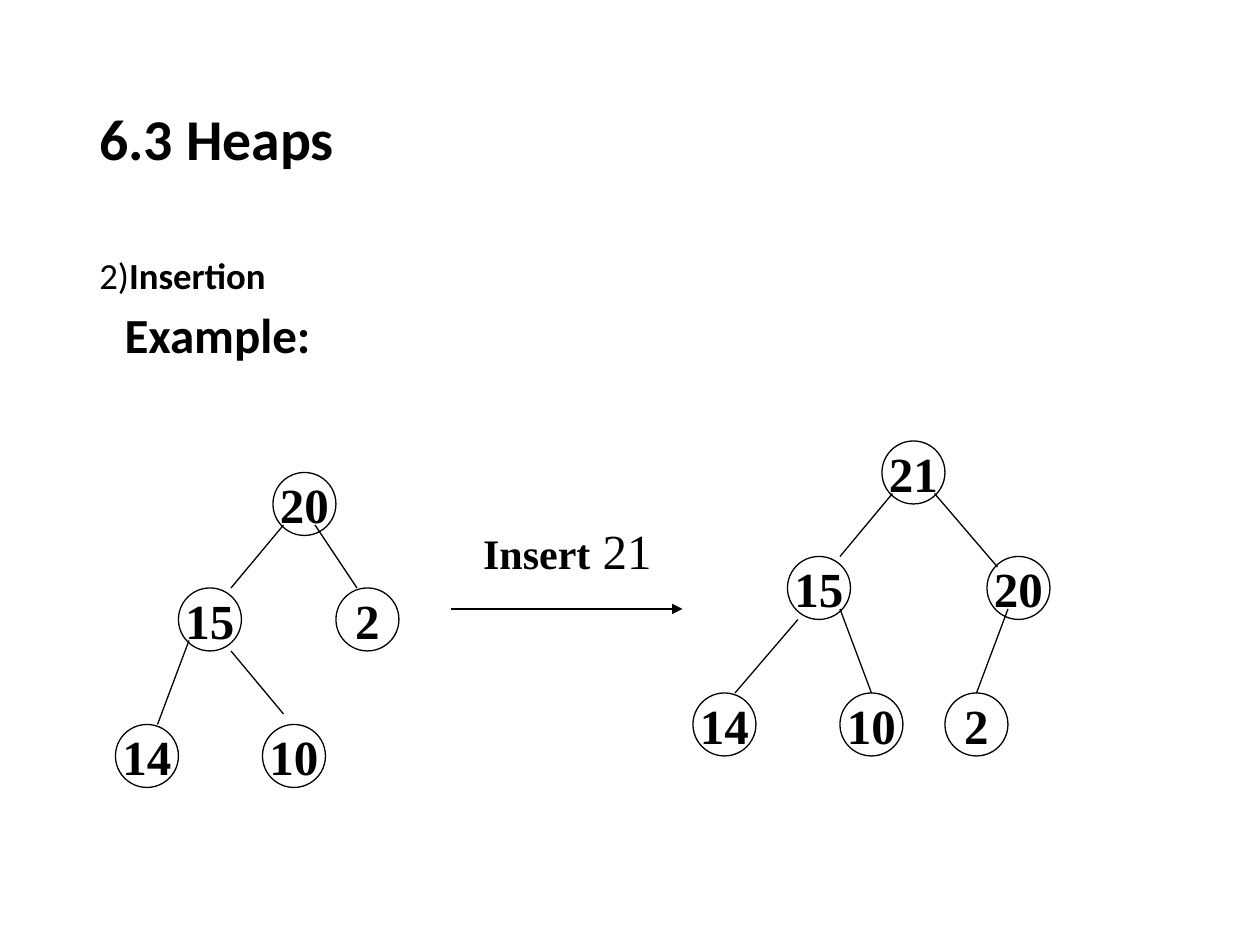
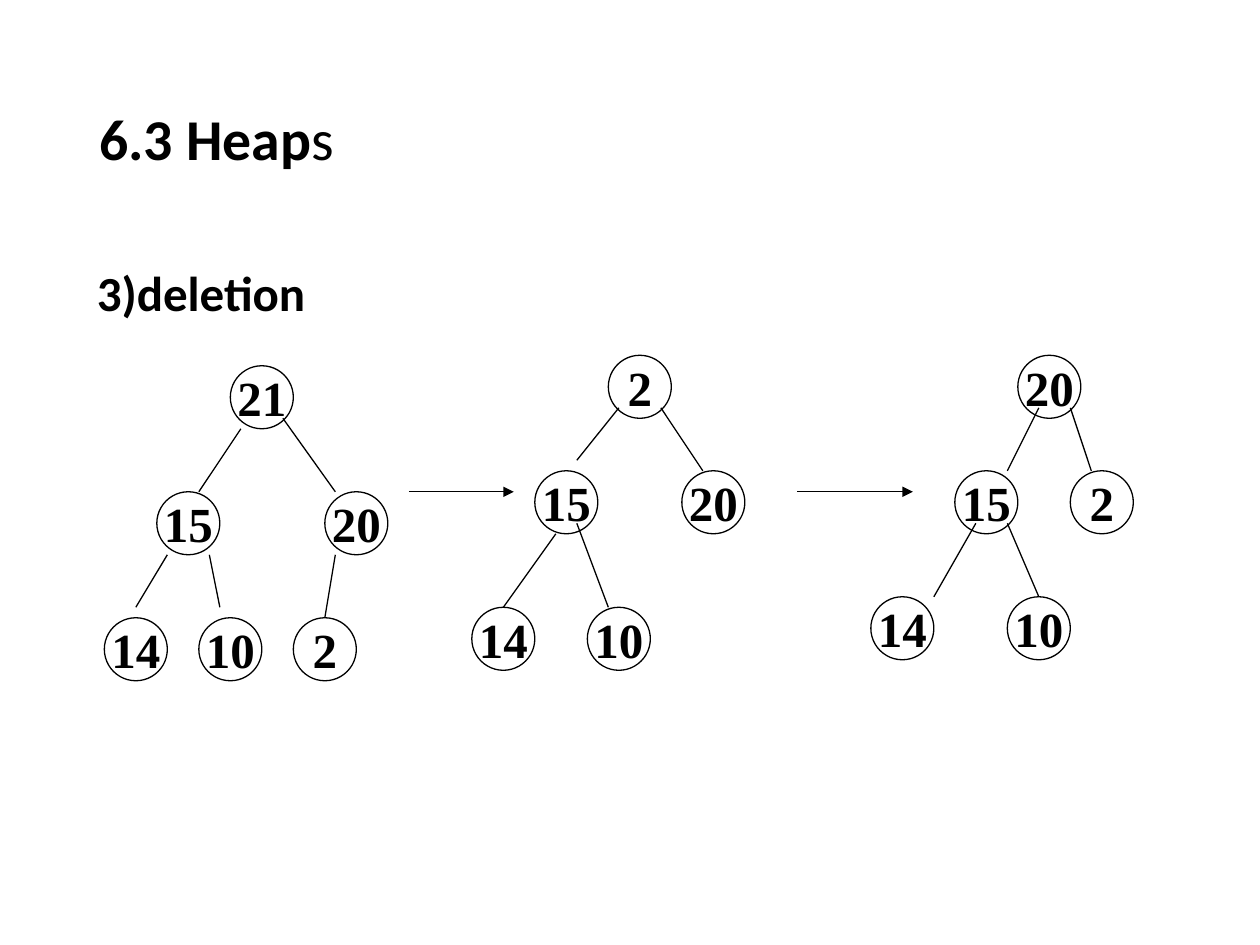
from dataclasses import dataclass

from lxml.etree import SubElement
from pptx import Presentation
from pptx.dml.color import RGBColor
from pptx.enum.shapes import MSO_CONNECTOR, MSO_SHAPE
from pptx.enum.text import MSO_ANCHOR, MSO_AUTO_SIZE, PP_ALIGN
from pptx.oxml.ns import qn
from pptx.util import Inches, Pt

COLUMNS, ROWS = 120, 90


@dataclass(frozen=True)
class Theme:
    ink: RGBColor = RGBColor(0, 0, 0)
    paper: RGBColor = RGBColor(255, 255, 255)
    text_font: str = "Calibri"
    diagram_font: str = "Times New Roman"
    title_size: float = 33
    body_size: float = 21
    large_size: float = 28
    label_size: float = 24
    line_width: float = 0.75
    node_size: float = 6


class HeapDeck:
    def __init__(self, theme):
        self.theme = theme
        self.presentation = Presentation()
        self.presentation.slide_width = Inches(10)
        self.presentation.slide_height = Inches(7.5)
        self.slide = None
        self.shift = (0, 0)

    def across(self, columns):
        return round(self.presentation.slide_width * columns / COLUMNS)

    def down(self, rows):
        return round(self.presentation.slide_height * rows / ROWS)

    def place(self, column, row):
        return self.across(column + self.shift[0]), self.down(row + self.shift[1])

    def add_slide(self, title_runs, shift=(0, 0)):
        self.slide = self.presentation.slides.add_slide(self.presentation.slide_layouts[6])
        self.slide.background.fill.solid()
        self.slide.background.fill.fore_color.rgb = self.theme.paper
        self.shift = (0, 0)
        frame = self.add_text_box(8.28, 4.8, 103.56, 17.4)
        frame.vertical_anchor = MSO_ANCHOR.MIDDLE
        frame.paragraphs[0].line_spacing = 0.9
        self.add_runs(frame.paragraphs[0], title_runs, self.theme.text_font)
        self.shift = shift

    def add_text_box(self, column, row, width, height):
        box = self.slide.shapes.add_textbox(
            *self.place(column, row), self.across(width), self.down(height))
        box.text_frame.word_wrap = True
        return box.text_frame

    def add_runs(self, paragraph, runs, font):
        for text, size, bold in runs:
            run = paragraph.add_run()
            run.text = text
            run.font.name = font
            run.font.size = Pt(size)
            run.font.bold = bold
            run.font.color.rgb = self.theme.ink

    def indent(self, paragraph, columns):
        paragraph._p.get_or_add_pPr().set("marL", str(self.across(columns)))

    def add_body(self, column, row, width, height, lines):
        frame = self.add_text_box(column, row, width, height)
        for index, (indent, runs) in enumerate(lines):
            paragraph = frame.add_paragraph() if index else frame.paragraphs[0]
            paragraph.line_spacing = 0.9
            paragraph.space_before = Pt(7.5)
            self.indent(paragraph, indent)
            self.add_runs(paragraph, runs, self.theme.text_font)

    def add_label(self, column, row, width, height, indent, runs):
        frame = self.add_text_box(column, row, width, height)
        frame.auto_size = MSO_AUTO_SIZE.SHAPE_TO_FIT_TEXT
        paragraph = frame.paragraphs[0]
        paragraph.space_before = Pt(17.5)
        self.indent(paragraph, indent)
        self.add_runs(paragraph, runs, self.theme.diagram_font)

    def add_node(self, value, column, row):
        size = self.theme.node_size
        node = self.slide.shapes.add_shape(
            MSO_SHAPE.OVAL, *self.place(column, row), self.across(size), self.down(size))
        node.shadow.inherit = False
        node.fill.background()
        node.line.color.rgb = self.theme.ink
        node.line.width = Pt(self.theme.line_width)
        frame = node.text_frame
        frame.word_wrap = False
        frame.vertical_anchor = MSO_ANCHOR.MIDDLE
        paragraph = frame.paragraphs[0]
        paragraph.alignment = PP_ALIGN.CENTER
        paragraph.space_before = Pt(7)
        self.add_runs(paragraph, [(str(value), self.theme.large_size, True)],
                      self.theme.diagram_font)

    def add_line(self, start_column, start_row, end_column, end_row, arrow=False):
        line = self.slide.shapes.add_connector(
            MSO_CONNECTOR.STRAIGHT,
            *self.place(start_column, start_row), *self.place(end_column, end_row))
        line.line.color.rgb = self.theme.ink
        line.line.width = Pt(self.theme.line_width)
        if arrow:
            SubElement(line.line._get_or_add_ln(), qn("a:tailEnd"), type="triangle")
        SubElement(line._element.spPr, qn("a:effectLst"))

    def add_tree(self, nodes, edges):
        for node in nodes:
            self.add_node(*node)
        for edge in edges:
            self.add_line(*edge)


def build_insertion(deck):
    theme = deck.theme
    deck.add_slide([("6.3 Heaps", theme.title_size, True)])
    deck.add_body(8.28, 24, 103.56, 57.12, [
        (0, [("2)", theme.body_size, False), ("Insertion", theme.body_size, True)]),
        (2.4, [("Example:", theme.large_size, True)]),
    ])
    deck.add_tree(
        [(20, 26, 45), (15, 17, 56), (2, 32, 56), (14, 11, 69), (10, 25, 69)],
        [(27, 50, 22, 56), (30, 50, 34, 56), (18, 61, 15, 69), (22, 62, 27, 68)])
    deck.add_tree(
        [(21, 84, 42), (15, 75, 53), (20, 94, 53),
         (14, 66, 66), (10, 80, 66), (2, 90, 66)],
        [(85, 47, 80, 53), (89, 47, 95, 54), (76, 59, 70, 66),
         (80, 58, 83, 66), (96, 58, 93, 66)])
    deck.add_line(43, 58, 65, 58, arrow=True)
    deck.add_label(39, 49, 26, 6.84, 5.83, [
        ("Insert", theme.label_size, True), (" 21", theme.large_size, False)])


def build_deletion(deck):
    theme = deck.theme
    deck.add_slide([("6.3 Heap", theme.title_size, True), ("s", theme.title_size, False)],
                   shift=(-0.06, -0.16))
    deck.add_body(8.1, 25.16, 102, 54, [
        (0, [("3)deletion", theme.large_size, True)])])
    deck.add_tree(
        [(21, 22, 35), (15, 15, 47), (20, 31, 47),
         (14, 10, 59), (10, 19, 59), (2, 28, 59)],
        [(23, 41, 19, 47), (27, 40, 32, 47), (16, 53, 13, 58),
         (20, 53, 21, 58), (32, 53, 31, 59)])
    deck.add_tree(
        [(2, 58, 34), (15, 51, 45), (20, 65, 45), (14, 45, 58), (10, 56, 58)],
        [(59, 39, 55, 44), (63, 39, 67, 45), (53, 51, 48, 58), (55, 50, 58, 58)])
    deck.add_tree(
        [(20, 97, 34), (15, 91, 45), (2, 102, 45), (14, 83, 57), (10, 96, 57)],
        [(99, 39, 96, 45), (102, 39, 104, 45), (93, 50, 89, 57), (96, 50, 99, 57)])
    for start, end in [(39, 49), (76, 87)]:
        deck.add_line(start, 47, end, 47, arrow=True)


def main():
    deck = HeapDeck(Theme())
    build_insertion(deck)
    build_deletion(deck)
    deck.presentation.save("out.pptx")


if __name__ == "__main__":
    main()
